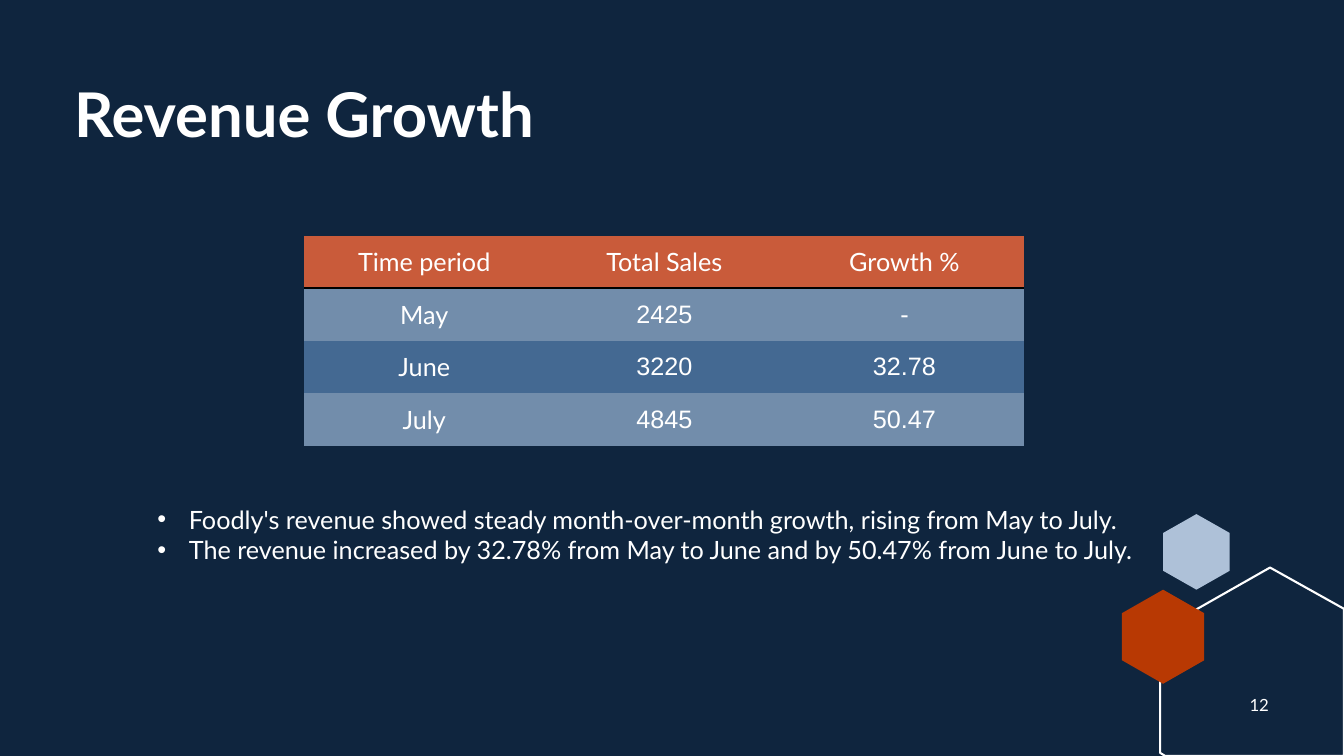
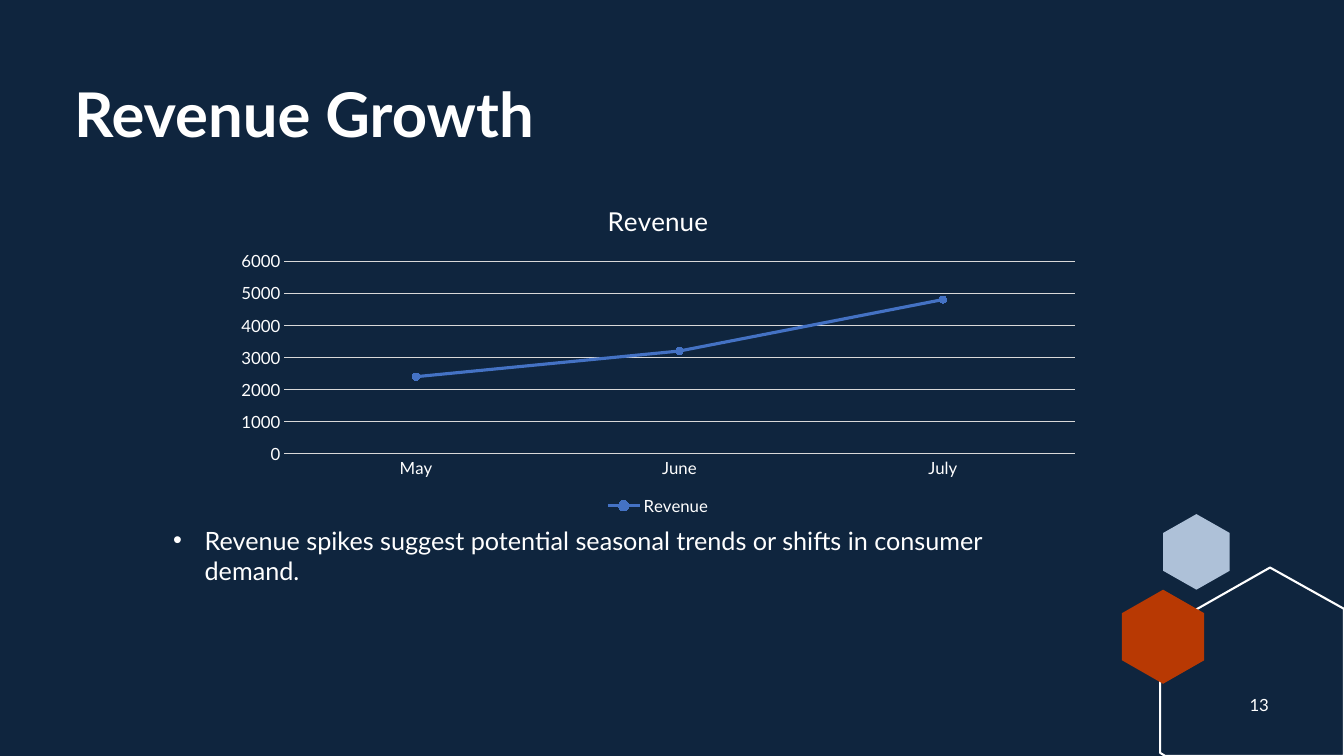
from lxml.etree import SubElement
from pptx import Presentation
from pptx.chart.data import CategoryChartData
from pptx.dml.color import RGBColor
from pptx.enum.chart import XL_CHART_TYPE as ChartType, XL_LEGEND_POSITION as LegendPos
from pptx.enum.chart import XL_MARKER_STYLE as Marker, XL_TICK_MARK as Tick
from pptx.enum.text import MSO_ANCHOR as Anchor, PP_ALIGN as Align
from pptx.oxml import parse_xml
from pptx.oxml.ns import nsdecls, qn
from pptx.util import Pt

# Content
TITLE = "Revenue Growth"
HEADINGS = ("Time period", "Total Sales", "Growth %")
MONTHS = (("May", "2425", "-"), ("June", "3220", "32.78"), ("July", "4845", "50.47"))
SERIES = "Revenue"
REVENUE = {"May": 2400, "June": 3200, "July": 4800}
TABLE_NOTES = (
    "Foodly's revenue showed steady month-over-month growth, rising from May to July.",
    "The revenue increased by 32.78% from May to June and by 50.47% from June to July.",
)
CHART_NOTES = ("Revenue spikes suggest potential seasonal trends or shifts in consumer demand.",)

# Colours and fonts
NAVY = RGBColor(0x0F, 0x25, 0x3E)
WHITE = RGBColor(0xFF, 0xFF, 0xFF)
PALE_BLUE = RGBColor(0xAE, 0xC1, 0xD8)
RUST = RGBColor(0xB8, 0x39, 0x03)
HEADER = RGBColor(0xC9, 0x5B, 0x3A)
BANDS = (RGBColor(0x72, 0x8D, 0xAB), RGBColor(0x44, 0x69, 0x92))
GRID = RGBColor(0xD9, 0xD9, 0xD9)
SERIES_BLUE = RGBColor(0x44, 0x72, 0xC4)
LATO, ARIAL = "Lato", "Arial"
NO_GRID_STYLE = "{2D5ABB26-0587-4C30-8999-92F81FD0307C}"

# Geometry in points: left, top, width, height
SLIDE_W, SLIDE_H = 960, 540
TITLE_BOX = (45.8, 57, 857, 112)
NUMBER_BOX = (881.5, 489, 36, 29)
TABLE_NOTES_BOX = (105.3, 356.4, 716, 51)
CHART_NOTES_BOX = (116.6, 371.5, 655, 51)
CHART_BOX = (160, 132.3, 620, 239)
TABLE_AT = (217.3, 168.5)
COLUMN_W, ROW_H = 171.5, 37.5
PALE_HEXAGON = (830.8, 367.2, 47.6, 54)
RUST_HEXAGON = (801.4, 421.2, 58.8, 67.2)
CROPPED_HEXAGON = ((907.2, 405.4), (SLIDE_W, 434.9), (SLIDE_W, SLIDE_H),
                   (832.3, SLIDE_H), (828.7, 537.8), (828.7, 450))
BULLET_INDENT = 22.5


def in_points(values):
    return [Pt(value) for value in values]


def style_font(font, size, color=WHITE, **changes):
    font.color.rgb = color
    style = {"name": LATO, "size": Pt(size), "bold": False, **changes}
    for name, value in style.items():
        setattr(font, name, value)


def add_text(slide, box, lines, size, anchor=Anchor.TOP, bulleted=False, bold=False, **layout):
    frame = slide.shapes.add_textbox(*in_points(box)).text_frame
    frame.word_wrap = True
    frame.vertical_anchor = anchor
    for index, line in enumerate(lines):
        paragraph = frame.paragraphs[0] if index == 0 else frame.add_paragraph()
        run = paragraph.add_run()
        run.text = line
        style_font(run.font, size, bold=bold)
        for name, value in layout.items():
            setattr(paragraph, name, value)
        if bulleted:
            add_bullet(paragraph)


def add_bullet(paragraph):
    properties = paragraph._p.get_or_add_pPr()
    properties.set("marL", str(Pt(BULLET_INDENT)))
    properties.set("indent", str(Pt(-BULLET_INDENT)))
    SubElement(properties, qn("a:buFont"), typeface=ARIAL)
    SubElement(properties, qn("a:buChar"), char="•")


def add_outline(slide, points, fill=None, line=None):
    corners = [in_points(point) for point in points]
    builder = slide.shapes.build_freeform(*corners[0])
    builder.add_line_segments(corners[1:], close=True)
    shape = builder.convert_to_shape()
    shape.shadow.inherit = False
    for part, color in ((shape.fill, fill), (shape.line.fill, line)):
        if color is None:
            part.background()
        else:
            part.solid()
            part.fore_color.rgb = color
    if line is not None:
        shape.line.width = Pt(1.5)


def hexagon(left, top, width, height):
    middle, right, bottom = left + width / 2, left + width, top + height
    upper, lower = top + height / 4, bottom - height / 4
    return ((middle, top), (right, upper), (right, lower),
            (middle, bottom), (left, lower), (left, upper))


def add_base(deck, number):
    """Start a slide with the shared hexagons, title and number."""
    slide = deck.slides.add_slide(deck.slide_layouts[6])
    slide.background.fill.solid()
    slide.background.fill.fore_color.rgb = NAVY
    add_outline(slide, hexagon(*PALE_HEXAGON), fill=PALE_BLUE)
    add_outline(slide, CROPPED_HEXAGON, line=WHITE)
    add_outline(slide, hexagon(*RUST_HEXAGON), fill=RUST)
    add_text(slide, NUMBER_BOX, [str(number)], 12, Anchor.MIDDLE, alignment=Align.CENTER)
    add_text(slide, TITLE_BOX, [TITLE], 44, bold=True, line_spacing=0.9)
    return slide


def add_bottom_rule(cell):
    cell._tc.get_or_add_tcPr().insert(0, parse_xml(
        f'<a:lnB {nsdecls("a")} w="{Pt(1.5)}"><a:solidFill>'
        f'<a:srgbClr val="000000"/></a:solidFill></a:lnB>'))


def add_sales_table(slide):
    rows = (HEADINGS, *MONTHS)
    size = (COLUMN_W * len(HEADINGS), ROW_H * len(rows))
    table = slide.shapes.add_table(len(rows), len(HEADINGS),
                                   *in_points((*TABLE_AT, *size))).table
    table._tbl.tblPr.find(qn("a:tableStyleId")).text = NO_GRID_STYLE
    for column in table.columns:
        column.width = Pt(COLUMN_W)
    for r, row in enumerate(rows):
        table.rows[r].height = Pt(ROW_H)
        for c, value in enumerate(row):
            cell = table.cell(r, c)
            cell.vertical_anchor = Anchor.MIDDLE
            cell.fill.solid()
            cell.fill.fore_color.rgb = BANDS[(r - 1) % 2] if r else HEADER
            paragraph = cell.text_frame.paragraphs[0]
            paragraph.alignment = Align.CENTER
            run = paragraph.add_run()
            run.text = value
            style_font(run.font, 18, name=ARIAL if r and c else LATO)
            if r == 0:
                add_bottom_rule(cell)


def add_revenue_chart(slide):
    data = CategoryChartData()
    data.categories = list(REVENUE)
    data.add_series(SERIES, list(REVENUE.values()))
    chart = slide.shapes.add_chart(ChartType.LINE_MARKERS_STACKED,
                                   *in_points(CHART_BOX), data).chart
    style_font(chart.font, 10)

    # Title and legend
    chart.has_title = True
    heading = chart.chart_title.text_frame.paragraphs[0].add_run()
    heading.text = SERIES
    style_font(heading.font, 18.6)
    chart.chart_title.include_in_layout = False
    chart.has_legend = True
    chart.legend.position = LegendPos.BOTTOM
    chart.legend.include_in_layout = False
    style_font(chart.legend.font, 12)

    # Axes and gridlines
    months, sales = chart.category_axis, chart.value_axis
    for axis in (months, sales):
        axis.major_tick_mark = axis.minor_tick_mark = Tick.NONE
        style_font(axis.tick_labels.font, 12)
    scale = {"minimum_scale": 0, "maximum_scale": 6000, "major_unit": 1000,
             "has_major_gridlines": True}
    for name, value in scale.items():
        setattr(sales, name, value)
    sales.format.line.fill.background()
    for line in (months.format.line, sales.major_gridlines.format.line):
        line.color.rgb = GRID
        line.width = Pt(0.75)

    # Revenue line
    plot = chart.plots[0]
    plot.vary_by_categories = False
    revenue = plot.series[0]
    revenue.smooth = False
    revenue.format.line.color.rgb = SERIES_BLUE
    revenue.format.line.width = Pt(2.25)
    marker = revenue.marker
    marker.style, marker.size = Marker.CIRCLE, 5
    marker.format.fill.solid()
    marker.format.fill.fore_color.rgb = SERIES_BLUE
    marker.format.line.color.rgb = SERIES_BLUE


def main():
    deck = Presentation()
    deck.slide_width, deck.slide_height = Pt(SLIDE_W), Pt(SLIDE_H)

    table_slide = add_base(deck, 12)
    add_sales_table(table_slide)
    add_text(table_slide, TABLE_NOTES_BOX, TABLE_NOTES, 18, bulleted=True)

    chart_slide = add_base(deck, 13)
    add_text(chart_slide, CHART_NOTES_BOX, CHART_NOTES, 18, bulleted=True)
    add_revenue_chart(chart_slide)

    deck.save("out.pptx")


if __name__ == "__main__":
    main()
